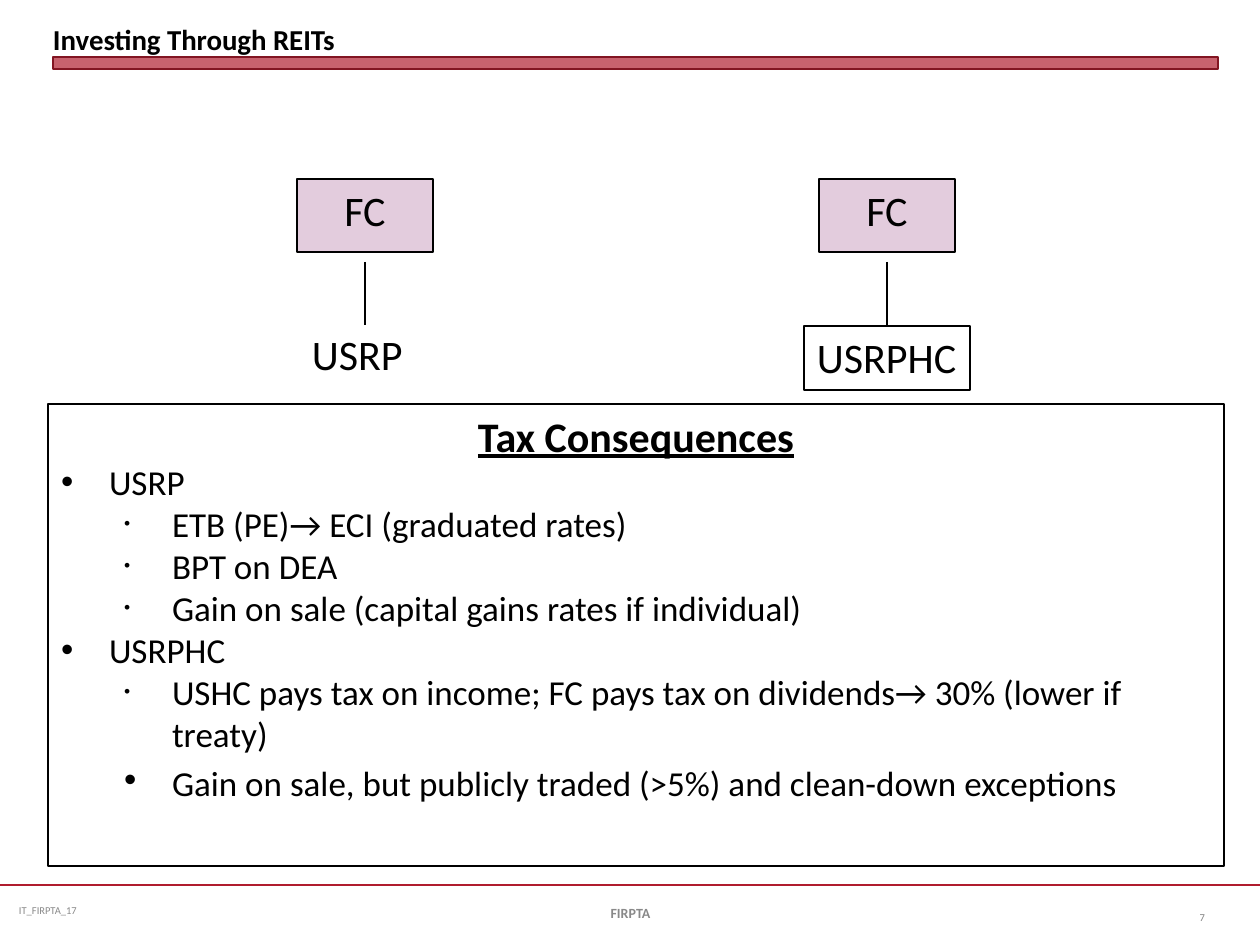
"""Builds the slide on investing through REITs with python-pptx."""
from lxml import etree
from pptx import Presentation, util as u
from pptx.dml.color import RGBColor
from pptx.enum import shapes, text
from pptx.oxml.ns import qn

BLACK, RED, DARK_RED, LILAC = "000000", "B01C2E", "821522", "E3CCDD"
GRAY, PAGE_GRAY = "898989", "808080"
LEFT, CENTER, RIGHT = text.PP_ALIGN.LEFT, text.PP_ALIGN.CENTER, text.PP_ALIGN.RIGHT
TOP, MIDDLE, BOTTOM = text.MSO_ANCHOR.TOP, text.MSO_ANCHOR.MIDDLE, text.MSO_ANCHOR.BOTTOM

TITLE = "Investing Through REITs"
HEADING = "Tax Consequences"
CONSEQUENCES = [
    (0, 100, "USRP"),
    (1, 50, "ETB (PE)→ ECI (graduated rates)"),
    (1, 50, "BPT on DEA"),
    (1, 50, "Gain on sale (capital gains rates if individual)"),
    (0, 100, "USRPHC"),
    (1, 50, "USHC pays tax on income; FC pays tax on dividends→ 30% (lower if treaty)"),
    (1, 100, "Gain on sale, but publicly traded (>5%) and clean-down exceptions"),
]
HOLDINGS = [
    {"owner": "FC", "center": 365, "asset": "USRP", "asset_box": (299, 323, 117, 63), "line": None},
    {"owner": "FC", "center": 887, "asset": "USRPHC", "asset_box": (804, 326, 166, 64), "line": BLACK},
]
FOOTERS = [
    ("IT_FIRPTA_17", (10, 885, 325, 50), dict(size=6, color=GRAY, margins=(9, 5))),
    ("FIRPTA", (431, 888, 399, 50), dict(size=8, color=GRAY, bold=True, align=CENTER)),
    ("7", (1155, 892, 63, 50), dict(size=6, color=PAGE_GRAY, align=RIGHT)),
]
OWNER_WIDTH, OWNER_TOP, OWNER_HEIGHT = 136, 179, 73
LINK_TOP, LINK_BOTTOM = 262, 325
INDENT, LEVEL_STEP = 48, 63


def px(length):
    return u.Emu(round(length * 914400 / 126))


def rgb(value):
    return RGBColor.from_string(value)


def place(shape, box):
    shape.left, shape.top, shape.width, shape.height = map(px, box)


def write(para, words, size=24, color=BLACK, bold=False, underline=False, align=LEFT):
    para.alignment = align
    para.space_before = para.space_after = u.Pt(0)
    span = para.add_run()
    span.text = words
    font = span.font
    font.name, font.size, font.bold, font.underline = "Calibri", u.Pt(size), bold, underline
    font.color.rgb = rgb(color)


def set_frame(shape, anchor=TOP, wrap=True, margins=(13, 6)):
    frame = shape.text_frame
    frame.auto_size = text.MSO_AUTO_SIZE.NONE
    frame.word_wrap, frame.vertical_anchor = wrap, anchor
    frame.margin_left = frame.margin_right = px(margins[0])
    frame.margin_top = frame.margin_bottom = px(margins[1])
    return frame


def add_text(page, words, box, anchor=TOP, wrap=True, margins=(13, 6), **style):
    shape = page.shapes.add_textbox(*map(px, box))
    write(set_frame(shape, anchor, wrap, margins).paragraphs[0], words, **style)
    return shape


def outline(shape, color, width=0.75):
    shape.line.color.rgb = rgb(color)
    shape.line.width = u.Pt(width)


def add_box(page, box, fill, line, width=0.75):
    shape = page.shapes.add_shape(shapes.MSO_SHAPE.RECTANGLE, *map(px, box))
    shape.shadow.inherit = False
    shape.fill.solid()
    shape.fill.fore_color.rgb = rgb(fill)
    outline(shape, line, width)
    return shape


def add_line(page, start, end, color, width=0.75):
    line = page.shapes.add_connector(shapes.MSO_CONNECTOR.STRAIGHT, *map(px, start + end))
    outline(line, color, width)
    etree.SubElement(line._element.spPr, qn("a:effectLst"))


def add_bullet(para, level, percent):
    para.level = level
    props = para._p.get_or_add_pPr()
    props.set("marL", str(px(INDENT + level * LEVEL_STEP)))
    props.set("indent", str(-px(INDENT)))
    etree.SubElement(props, qn("a:buSzPct"), val=str(percent * 1000))
    etree.SubElement(props, qn("a:buFont"), typeface="Arial")
    etree.SubElement(props, qn("a:buChar"), char="•")


def add_header(page):
    bar = add_box(page, (53, 57, 1165, 12), RED, DARK_RED, 0)
    tint = bar._element.spPr.find(qn("a:solidFill"))[0]
    etree.SubElement(tint, qn("a:alpha"), val="69000")
    title = page.shapes.title
    place(title, (53, 6, 1165, 50))
    write(set_frame(title, BOTTOM, margins=(0, 0)).paragraphs[0], TITLE, size=16.5, bold=True)


def add_holding(page, holding):
    center = holding["center"]
    owner_box = (center - OWNER_WIDTH / 2, OWNER_TOP, OWNER_WIDTH, OWNER_HEIGHT)
    owner = add_box(page, owner_box, LILAC, BLACK)
    write(set_frame(owner).paragraphs[0], holding["owner"], align=CENTER)
    add_line(page, (center, LINK_TOP), (center, LINK_BOTTOM), BLACK)
    asset = add_text(page, holding["asset"], holding["asset_box"], wrap=False)
    if holding["line"]:
        outline(asset, holding["line"])


def add_consequences(body):
    place(body, (48, 404, 1176, 462))
    outline(body, BLACK)
    frame = set_frame(body)
    heading = frame.paragraphs[0]
    write(heading, HEADING, bold=True, underline=True, align=CENTER)
    props = heading._p.get_or_add_pPr()
    props.set("marL", "0")
    props.set("indent", "0")
    etree.SubElement(props, qn("a:buNone"))
    for level, percent, words in CONSEQUENCES:
        para = frame.add_paragraph()
        write(para, words, size=20)
        add_bullet(para, level, percent)
    write(para, " ", size=24)


def main():
    deck = Presentation()
    deck.slide_width, deck.slide_height = px(1260), px(945)
    page = deck.slides.add_slide(deck.slide_layouts[1])
    add_line(page, (0, 885), (1260, 885), RED, 1.25)
    add_header(page)
    for holding in HOLDINGS:
        add_holding(page, holding)
    add_consequences(page.placeholders[1])
    for words, box, style in FOOTERS:
        add_text(page, words, box, anchor=MIDDLE, **style)
    deck.save("out.pptx")


if __name__ == "__main__":
    main()
